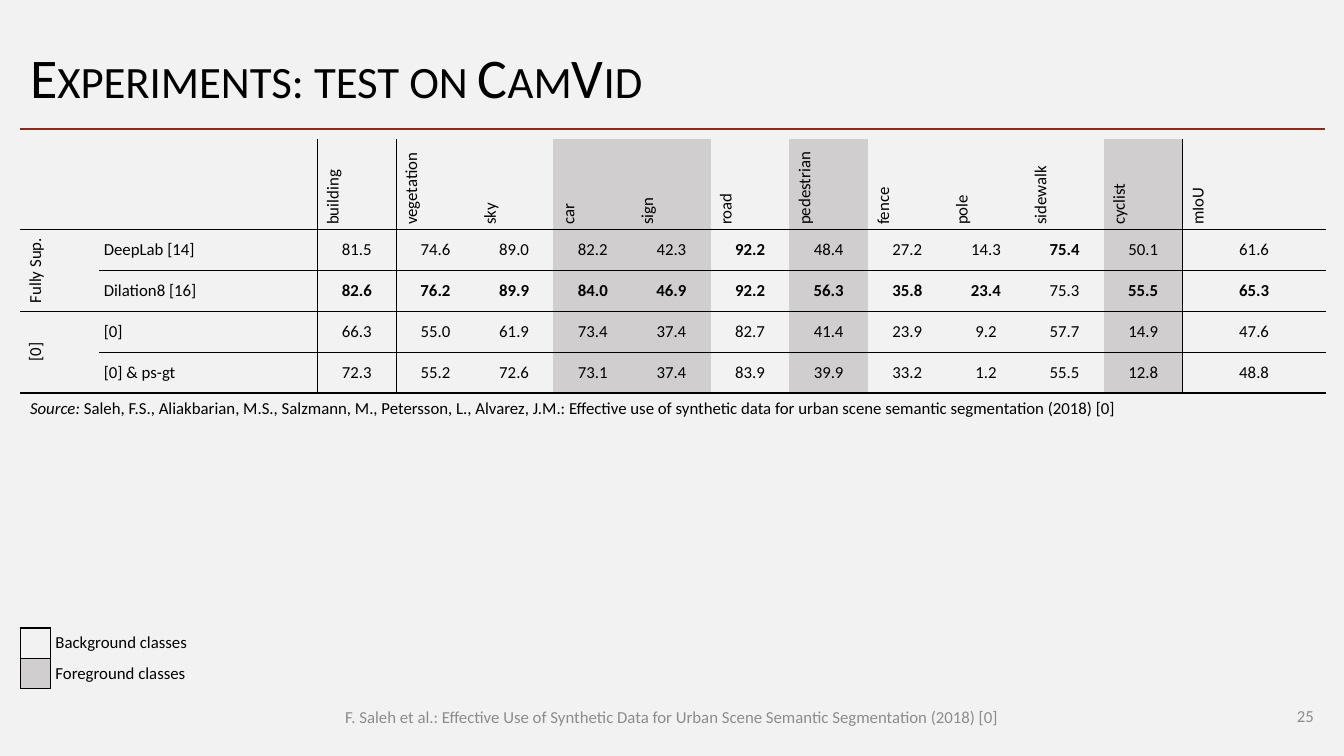
from lxml.etree import SubElement
from pptx import Presentation
from pptx.dml.color import RGBColor
from pptx.enum.shapes import MSO_CONNECTOR
from pptx.enum.text import MSO_ANCHOR, PP_ALIGN
from pptx.oxml.ns import qn
from pptx.util import Inches, Pt

TITLE = "Experiments: test on CamVid"
CLASSES = ["building", "vegetation", "sky", "car", "sign", "road", "pedestrian",
           "fence", "pole", "sidewalk", "cyclist", "mIoU"]
FOREGROUND = {"car", "sign", "pedestrian", "cyclist"}
# supervision group, method, scores by class
RESULTS = [
    ("Fully Sup.", "DeepLab [14]",
     "81.5 74.6 89.0 82.2 42.3 92.2 48.4 27.2 14.3 75.4 50.1 61.6"),
    ("", "Dilation8 [16]",
     "82.6 76.2 89.9 84.0 46.9 92.2 56.3 35.8 23.4 75.3 55.5 65.3"),
    ("[0]", "[0]",
     "66.3 55.0 61.9 73.4 37.4 82.7 41.4 23.9 9.2 57.7 14.9 47.6"),
    ("", "[0] & ps-gt",
     "72.3 55.2 72.6 73.1 37.4 83.9 39.9 33.2 1.2 55.5 12.8 48.8"),
]
LEGEND = ["Background classes", "Foreground classes"]
SOURCE = ("Source: ", "Saleh, F.S., Aliakbarian, M.S., Salzmann, M., Petersson, L., "
          "Alvarez, J.M.: Effective use of synthetic data for urban scene semantic "
          "segmentation (2018) [0]")
FOOTER = ("F. Saleh et al.: Effective Use of Synthetic Data for Urban Scene "
          "Semantic Segmentation (2018) [0]")
PAGE = "25"

BLACK, GREY, RED, SHADE, PAPER = "000000", "8C8C8C", "8C2D19", "D0CECE", "F2F2F2"
FONT = "Calibri"
LEFT, WIDTH = 0.2, 12.94
GROUP_W, METHOD_W, SCORE_W, MEAN_W = 0.78, 2.17, 0.78, 1.42
HEADER_H, TABLE_H = 0.9, 2.52
NO_GRID_STYLE = "{2D5ABB26-0587-4C30-8999-92F81FD0307C}"


def rgb(code):
    return RGBColor.from_string(code)


def style(run, size=12, color=BLACK, bold=False, italic=False):
    font = run.font
    font.name, font.size, font.bold, font.italic = FONT, Pt(size), bold, italic
    font.color.rgb = rgb(color)


def add_text(left, top, width, height, text, size=12, color=BLACK,
             align=PP_ALIGN.LEFT, anchor=MSO_ANCHOR.MIDDLE):
    box = slide.shapes.add_textbox(*map(Inches, (left, top, width, height)))
    frame = box.text_frame
    frame.word_wrap, frame.vertical_anchor = True, anchor
    frame.text = text
    frame.paragraphs[0].alignment = align
    style(frame.paragraphs[0].runs[0], size, color)
    return frame


def add_plain_table(top, widths, heights):
    """Add a table without any style of its own."""
    frame = slide.shapes.add_table(
        len(heights), len(widths), Inches(LEFT), Inches(top),
        Inches(sum(widths)), Inches(sum(heights)))
    table = frame.table
    table.first_row = table.horz_banding = False
    frame._element.find(".//" + qn("a:tableStyleId")).text = NO_GRID_STYLE
    for column, width in zip(table.columns, widths):
        column.width = Inches(width)
    for row, height in zip(table.rows, heights):
        row.height = Inches(height)
    return table


def fill_cell(cell, text, borders="", shaded=False, bold=False,
              align=PP_ALIGN.LEFT, vertical=False, anchor=MSO_ANCHOR.MIDDLE):
    """Write a cell; borders holds the sides to draw, from L, R, T and B."""
    cell.margin_left = cell.margin_right = Inches(0.05)
    cell.margin_top = cell.margin_bottom = Inches(0.05)
    cell.vertical_anchor = anchor
    cell.text_frame.text = text
    paragraph = cell.text_frame.paragraphs[0]
    paragraph.alignment = align
    for run in paragraph.runs:
        style(run, bold=bold)
    if not text:
        SubElement(paragraph._p, qn("a:endParaRPr"), sz="1200")
    properties = cell._tc.get_or_add_tcPr()
    if vertical:
        properties.set("vert", "vert270")
    for side in "LRTB":
        if side in borders:
            line = SubElement(properties, qn("a:ln" + side), w=str(Pt(1)))
            solid = SubElement(line, qn("a:solidFill"))
            SubElement(solid, qn("a:srgbClr"), val=BLACK)
    if shaded:
        cell.fill.solid()
        cell.fill.fore_color.rgb = rgb(SHADE)
    else:
        cell.fill.background()


def result_borders(row, col):
    mean_col = len(CLASSES) + 1
    starts_group = row > 0 and bool(RESULTS[row - 1][0])
    sides = "B"
    if starts_group or (row > 0 and col > 0):
        sides += "T"
    if col in (2, mean_col):
        sides += "L"
    if col in (1, mean_col - 1):
        sides += "R"
    return sides


def add_results():
    row_h = (TABLE_H - HEADER_H) / len(RESULTS)
    widths = [GROUP_W, METHOD_W] + [SCORE_W] * (len(CLASSES) - 1) + [MEAN_W]
    table = add_plain_table(1.38, widths, [HEADER_H] + [row_h] * len(RESULTS))
    scores = [line.split() for _, _, line in RESULTS]
    best = [max(column, key=float) for column in zip(*scores)]

    grid = [["", ""] + CLASSES]
    grid += [[group, method] + values
             for (group, method, _), values in zip(RESULTS, scores)]
    for r, texts in enumerate(grid):
        for c, text in enumerate(texts):
            is_score = r > 0 and c > 1
            fill_cell(
                table.cell(r, c), text, result_borders(r, c),
                shaded=c > 1 and CLASSES[c - 2] in FOREGROUND,
                bold=is_score and text == best[c - 2],
                align=PP_ALIGN.CENTER if r > 0 and c != 1 else PP_ALIGN.LEFT,
                vertical=c == 0 or (r == 0 and c > 1))
    for r, (group, _, _) in enumerate(RESULTS, start=1):
        if group:
            table.cell(r, 0).merge(table.cell(r + 1, 0))


def add_legend():
    table = add_plain_table(6.23, [0.3, 2.5], [0.3] * len(LEGEND))
    for r, label in enumerate(LEGEND):
        fill_cell(table.cell(r, 0), "", "LRTB", shaded=label.startswith("Foreground"))
        fill_cell(table.cell(r, 1), label, "L", anchor=MSO_ANCHOR.TOP)


presentation = Presentation()
presentation.slide_width, presentation.slide_height = Inches(13.33), Inches(7.5)
slide = presentation.slides.add_slide(presentation.slide_layouts[6])
slide.background.fill.solid()
slide.background.fill.fore_color.rgb = rgb(PAPER)

rule = slide.shapes.add_connector(
    MSO_CONNECTOR.STRAIGHT, Inches(LEFT), Inches(1.28),
    Inches(LEFT + WIDTH), Inches(1.28))
rule.line.color.rgb, rule.line.width = rgb(RED), Pt(1.5)
SubElement(rule._element.spPr, qn("a:effectLst"))

title = add_text(LEFT, 0.2, WIDTH, 0.98, TITLE, 40, anchor=MSO_ANCHOR.BOTTOM)
title.margin_top, title.margin_bottom = 0, Inches(0.08)
title.paragraphs[0].line_spacing = 0.9
title.paragraphs[0].runs[0].font._element.set("cap", "small")

add_results()
add_text(1.84, 6.91, 9.65, 0.4, FOOTER, color=GREY, align=PP_ALIGN.CENTER)
add_text(11.56, 6.9, 1.57, 0.4, PAGE, color=GREY, align=PP_ALIGN.RIGHT)

citation = add_text(LEFT, 3.9, WIDTH, 0.3, SOURCE[0], anchor=MSO_ANCHOR.TOP).paragraphs[0]
citation.runs[0].font.italic = True
reference = citation.add_run()
reference.text = SOURCE[1]
style(reference)

add_legend()
presentation.save("out.pptx")
